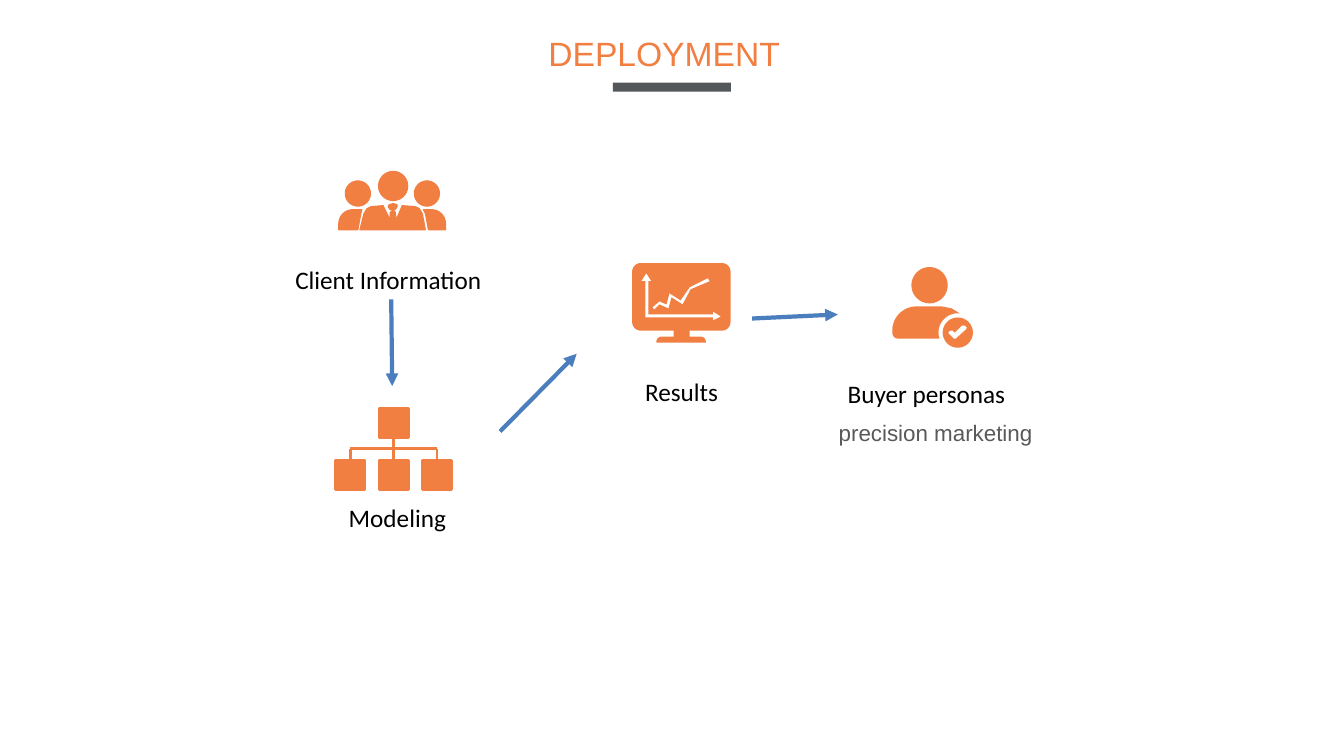
from math import cos, radians, sin

from lxml.etree import SubElement
from pptx import Presentation
from pptx.dml.color import RGBColor
from pptx.enum.shapes import MSO_CONNECTOR as CXN, MSO_SHAPE as SHAPE
from pptx.enum.text import MSO_AUTO_SIZE as FIT
from pptx.oxml.ns import qn
from pptx.util import Inches, Pt

CELL = Inches(0.1)
ORANGE, GREY, BLUE = "F17F42", "53575A", "4B7EBC"


def color(hex_code):
    return RGBColor.from_string(hex_code)


def cells(*values):
    return [round(v * CELL) for v in values]


def add_text(slide, box, text, size, font, hex_code, wrap=True):
    tf = slide.shapes.add_textbox(*cells(*box)).text_frame
    tf.word_wrap = wrap
    tf.auto_size = FIT.SHAPE_TO_FIT_TEXT
    p = tf.paragraphs[0]
    p.text = text
    p.font.size, p.font.name = Pt(size), font
    p.font.color.rgb = color(hex_code)


def paint(sp, fill, line_width=0):
    sp.shadow.inherit = False
    sp.fill.solid()
    sp.fill.fore_color.rgb = color(fill)
    if line_width:
        sp.line.color.rgb = color(fill)
        sp.line.width = Pt(line_width)
    else:
        sp.line.fill.background()


def add_rect(shapes, box, fill, line_width=0):
    sp = shapes.add_shape(SHAPE.RECTANGLE, *cells(*box))
    paint(sp, fill, line_width)
    return sp


def add_line(shapes, ends, hex_code, width, arrow=False):
    cxn = shapes.add_connector(CXN.STRAIGHT, *cells(*ends))
    cxn.line.color.rgb = color(hex_code)
    cxn.line.width = Pt(width)
    if arrow:
        SubElement(cxn.line._get_or_add_ln(), qn("a:tailEnd"), type="triangle")
    SubElement(cxn._element.spPr, qn("a:effectLst"))
    return cxn


def arc(cx, cy, r, start, end, steps=12):
    angles = [radians(start + (end - start) * i / steps) for i in range(steps + 1)]
    return [(cx + r * cos(a), cy + r * sin(a)) for a in angles]


def disc(cx, cy, r):
    return arc(cx, cy, r, 0, 360, 48)


def add_icon(slide, box, grid, contours, line_width=0):
    left, top, width, height = cells(*box)
    cols, rows = grid
    scaled = [[(x * width / cols, y * height / rows) for x, y in c] for c in contours]
    fb = slide.shapes.build_freeform(*scaled[0][0])
    for i, points in enumerate(scaled):
        if i:
            fb.move_to(*points[0])
        fb.add_line_segments(points[1:], close=True)
    paint(fb.convert_to_shape(left, top), ORANGE, line_width)


def people_icon(slide, box):
    left_body = arc(14, 52, 14, 180, 270) + [(23, 38), (22, 42), (19, 58), (0, 58)]
    right_body = [(84, 38)] + arc(92, 52, 14, 270, 360) + [(106, 58), (89, 58), (86, 42)]
    knot = [(54, 32), (58, 33), (58, 35), (56, 38), (54, 39), (51, 38), (49, 35), (50, 33)]
    suit = [(21, 58), (25, 42), (28, 37), (32, 35), (44, 34), (51, 48), (51, 41), (52, 40),
            (56, 40), (57, 48), (63, 34), (76, 35), (80, 37), (83, 42), (86, 58)]
    heads = [disc(19, 22, 12.5), disc(54, 14.5, 14.5), disc(87.5, 22, 12.5)]
    add_icon(slide, box, (106, 58), heads + [left_body, right_body, knot, suit], 0.75)


def monitor_icon(slide, box):
    screen = (arc(8.5, 8.5, 8.5, 180, 270) + arc(89, 8.5, 8.5, 270, 360)
              + arc(89, 58.5, 8.5, 0, 90) + [(57, 67), (57, 73)]
              + arc(68, 78, 5, 270, 360) + [(73, 79), (24, 79)]
              + arc(29, 78, 5, 180, 270) + [(41, 73), (41, 67)]
              + arc(8.5, 58.5, 8.5, 90, 180))
    trend = [(27, 38), (34, 41), (37, 30), (48, 37), (57, 24), (75, 15), (77, 18), (58, 26),
             (50, 41), (39, 34), (36, 45), (27, 41), (22, 46), (20, 44)]
    axes = [(80, 57), (80, 54), (13, 54), (13, 18), (9, 18), (14, 10), (19, 18), (16, 18),
            (16, 51), (80, 51), (80, 48), (88, 53)]
    add_icon(slide, box, (98, 79), [screen, trend, axes])


def buyer_icon(slide, box):
    body = (arc(24, 63, 24, 180, 270) + [(49, 39), (59, 41), (67, 46)]
            + arc(65, 65, 19.2, 270, 162) + arc(6, 65, 6, 90, 180))
    check = [(73, 62), (63, 71), (61, 71), (56, 66), (56, 64), (58, 63), (60, 63), (62, 65),
             (69, 58), (72, 58), (74, 60)]
    add_icon(slide, box, (80, 80), [body, disc(37, 18, 18), disc(65, 65, 15), check])


def tree_icon(slide, box):
    left, top, width, height = box
    side = 2.9
    gap = (width - side) / 2
    bar = top + 4
    shapes = slide.shapes.add_group_shape().shapes
    root = add_rect(shapes, (left + gap, top, side, side), ORANGE, 2)
    for i in range(3):
        x = left + i * gap
        leaf = add_rect(shapes, (x, top + height - side, side, side), ORANGE, 2)
        mid = x + side / 2
        stem = add_line(shapes, (mid, bar, mid, top + height - side), ORANGE, 2)
        if i == 1:
            stem.begin_connect(root, 2)
        stem.end_connect(leaf, 0)
    add_line(shapes, (left + side / 2, bar, left + side / 2 + 2 * gap, bar), ORANGE, 2)


def title(slide, box):
    left, top, width, height = box
    add_text(slide, (left, top, width, height), "DEPLOYMENT", 24, "Arial", ORANGE, wrap=False)
    add_rect(slide.shapes, (left + 7.4, top + 5.4, 11.7, 0.9), GREY)


def stage(slide, draw_icon, icon_box, label, label_box):
    draw_icon(slide, icon_box)
    add_text(slide, label_box, label, 18, "Calibri", "000000")


def main():
    prs = Presentation()
    prs.slide_width, prs.slide_height = Inches(13.33), Inches(7.5)
    slide = prs.slides.add_slide(prs.slide_layouts[6])

    title(slide, (53.4, 2.8, 25.2, 5))
    stages = [
        (people_icon, (33.6, 17, 10.6, 5.8), "Client Information", (28.3, 25.7, 21.1, 4)),
        (tree_icon, (33.3, 40.5, 11.5, 8.1), "Modeling", (33.6, 49.3, 11.8, 4)),
        (monitor_icon, (62.7, 26.1, 9.8, 7.9), "Results", (63, 36.8, 9.4, 4)),
        (buyer_icon, (88.5, 26.5, 8, 8), "Buyer personas", (83.1, 37, 18.7, 4)),
    ]
    for parts in stages:
        stage(slide, *parts)
    add_text(slide, (82.2, 41.1, 21.3, 6.7), "precision marketing", 16, "Arial", "595959")

    arrows = [(38.8, 29.7, 38.9, 38.3), (49.6, 42.8, 57.2, 35.1), (74.6, 31.6, 83.1, 31.2)]
    for ends in arrows:
        add_line(slide.shapes, ends, BLUE, 3, arrow=True)
    prs.save("out.pptx")


if __name__ == "__main__":
    main()
